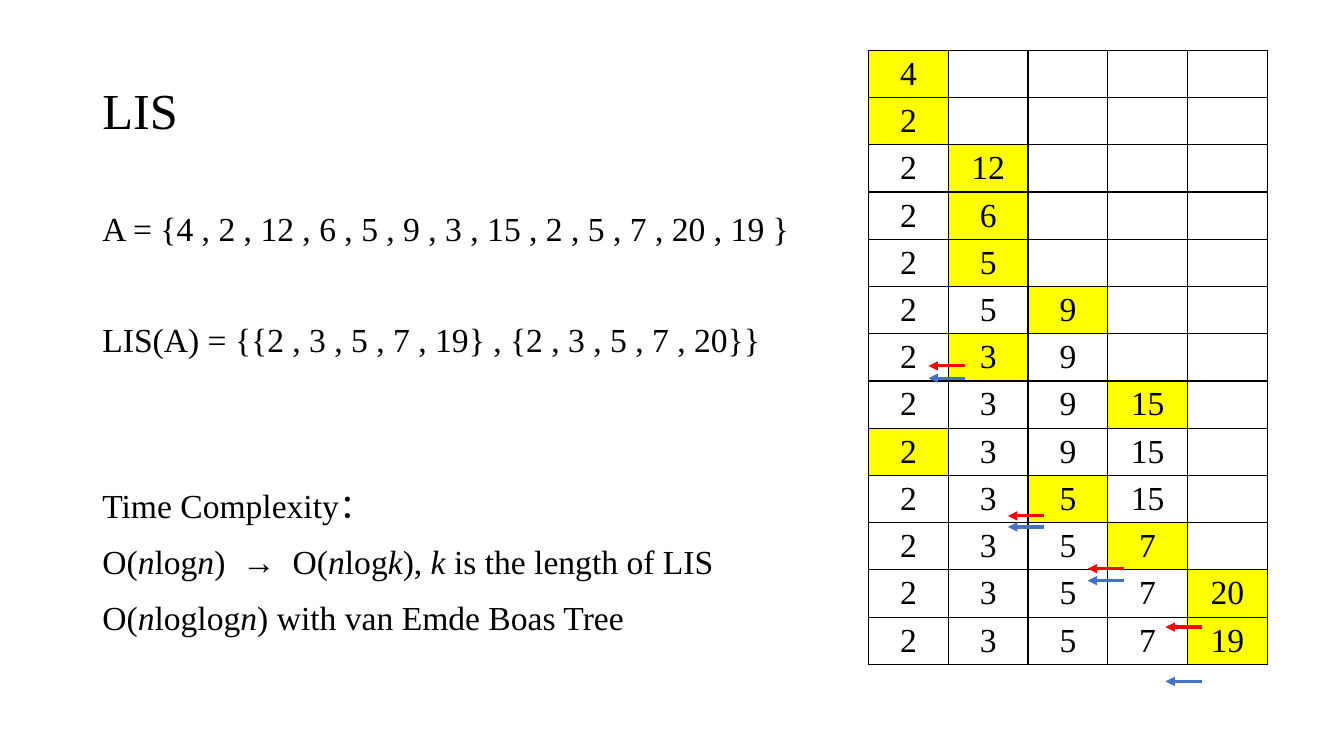
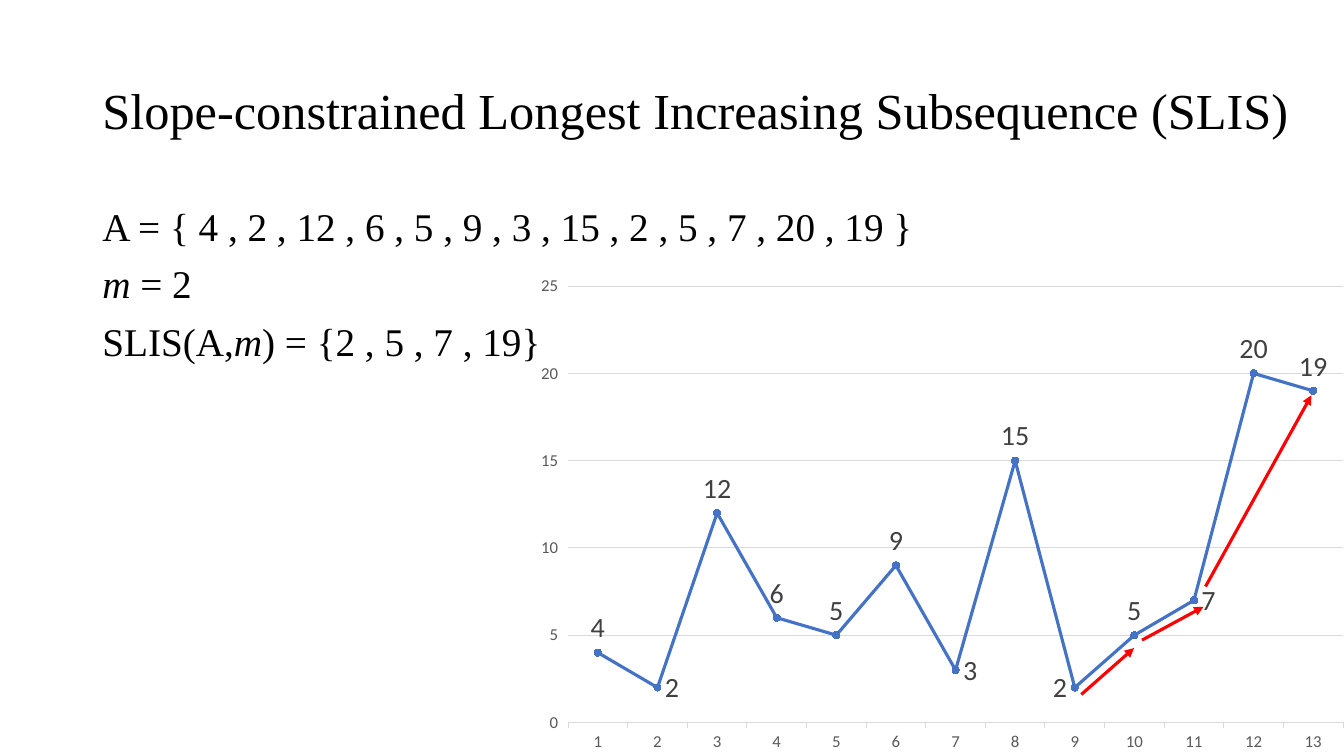
from lxml.etree import SubElement
from pptx import Presentation
from pptx.chart.data import CategoryChartData
from pptx.dml.color import RGBColor
from pptx.enum.chart import XL_CHART_TYPE, XL_LABEL_POSITION, XL_MARKER_STYLE, XL_TICK_MARK
from pptx.enum.shapes import MSO_CONNECTOR
from pptx.enum.text import MSO_ANCHOR, PP_ALIGN
from pptx.oxml import parse_xml
from pptx.oxml.ns import nsdecls, qn
from pptx.util import Cm, Pt

BLACK, WHITE, YELLOW = "000000", "FFFFFF", "FFFF00"
RED, BLUE = "FF0000", "4472C4"
GRID_GRAY, AXIS_GRAY, LABEL_GRAY = "D9D9D9", "595959", "404040"
TEXT_FONT, CHART_FONT = "Times New Roman", "Calibri"
LEFT = 2.33

SEQUENCE = [4, 2, 12, 6, 5, 9, 3, 15, 2, 5, 7, 20, 19]

LIS_TITLE = "LIS"
LIS_LINES = [
    (0, [("A = {4 , 2 , 12 , 6 , 5 , 9 , 3 , 15 , 2 , 5 , 7 , 20 , 19 }", False)]),
    (49, [("LIS(A) = {{2 , 3 , 5 , 7 , 19} , {2 , 3 , 5 , 7 , 20}}", False)]),
    (88, [("Time Complexity：", False)]),
    (10, [("O(", False), ("n", True), ("log", False), ("n", True), (")  →  O(", False),
          ("n", True), ("log", False), ("k", True), ("), ", False), ("k", True),
          (" is the length of LIS", False)]),
    (10, [("O(", False), ("n", True), ("loglog", False), ("n", True),
          (") with van Emde Boas Tree", False)]),
]
TRACE_ARROWS = [
    (30.28, 15.8, 17.17),
    (28.32, 14.33, 14.63),
    (26.31, 13.0, 13.28),
    (24.31, 9.22, 9.53),
]
TRACE_LENGTH = 0.91

SLIS_TITLE = "Slope-constrained Longest Increasing Subsequence (SLIS)"
SLIS_LINES = [
    (0, [("A = { 4 , 2 , 12 , 6 , 5 , 9 , 3 , 15 , 2 , 5 , 7 , 20 , 19 }", False)]),
    (10, [("m", True), (" = 2", False)]),
    (10, [("SLIS(A,", False), ("m", True), (") = {2 , 5 , 7 , 19}", False)]),
]
SIDE_LABELS = {
    1: XL_LABEL_POSITION.RIGHT,
    6: XL_LABEL_POSITION.RIGHT,
    8: XL_LABEL_POSITION.LEFT,
    10: XL_LABEL_POSITION.RIGHT,
}
PLOT_AREA = {"x": 0.042, "y": 0.015, "w": 0.958, "h": 0.915}
SLOPE_ARROWS = [
    (27.25, 17.5, 28.58, 16.33),
    (28.78, 16.13, 30.33, 15.29),
    (30.38, 14.78, 33.05, 9.96),
]


def color(value):
    return RGBColor.from_string(value)


def style_font(font, size, value, name=TEXT_FONT):
    font.size = Pt(size)
    font.name = name
    font.color.rgb = color(value)


def add_text(slide, top, width, height, lines, size, spacing, anchor=MSO_ANCHOR.TOP):
    box = slide.shapes.add_textbox(Cm(LEFT), Cm(top), Cm(width), Cm(height))
    frame = box.text_frame
    frame.word_wrap = True
    frame.vertical_anchor = anchor
    for index, (space_before, runs) in enumerate(lines):
        paragraph = frame.add_paragraph() if index else frame.paragraphs[0]
        paragraph.line_spacing = spacing
        paragraph.space_before = Pt(space_before)
        for text, italic in runs:
            run = paragraph.add_run()
            run.text = text
            style_font(run.font, size, BLACK)
            run.font.italic = italic


def add_title(slide, text, width):
    add_text(slide, 1.01, width, 3.68, [(0, [(text, False)])], 36, 0.9, MSO_ANCHOR.MIDDLE)


def add_body(slide, lines, size, spacing):
    add_text(slide, 5.07, 29.21, 12.09, lines, size, spacing)


def add_arrow(slide, x1, y1, x2, y2, value):
    arrow = slide.shapes.add_connector(MSO_CONNECTOR.STRAIGHT, Cm(x1), Cm(y1), Cm(x2), Cm(y2))
    arrow.line.color.rgb = color(value)
    arrow.line.width = Pt(2.25)
    SubElement(arrow.line._get_or_add_ln(), qn("a:tailEnd"), type="triangle")
    SubElement(arrow._element.spPr, qn("a:effectLst"))


def set_borders(cell):
    properties = cell._tc.get_or_add_tcPr()
    for position, side in enumerate(("lnL", "lnR", "lnT", "lnB")):
        properties.insert(position, parse_xml(
            f'<a:{side} {nsdecls("a")} w="12700"><a:solidFill>'
            f'<a:srgbClr val="{BLACK}"/></a:solidFill></a:{side}>'))


def trace_lis(sequence):
    tails, steps = [], []
    for value in sequence:
        place = sum(tail < value for tail in tails)
        tails[place:place + 1] = [value]
        steps.append((place, list(tails)))
    return steps


def add_trace_table(slide):
    steps = trace_lis(SEQUENCE)
    column_count = len(steps[-1][1])
    column_width, row_height = 2.01, 1.19
    table = slide.shapes.add_table(
        len(steps), column_count, Cm(21.89), Cm(1.27),
        Cm(column_width * column_count), Cm(row_height * len(steps))).table
    table.first_row = False
    table.horz_banding = False
    for column in table.columns:
        column.width = Cm(column_width)
    for row_index, (changed, tails) in enumerate(steps):
        table.rows[row_index].height = Cm(row_height)
        for column_index in range(column_count):
            cell = table.cell(row_index, column_index)
            cell.margin_top = cell.margin_bottom = Cm(0)
            cell.vertical_anchor = MSO_ANCHOR.MIDDLE
            cell.fill.solid()
            cell.fill.fore_color.rgb = color(YELLOW if column_index == changed else WHITE)
            set_borders(cell)
            if column_index < len(tails):
                paragraph = cell.text_frame.paragraphs[0]
                paragraph.alignment = PP_ALIGN.CENTER
                run = paragraph.add_run()
                run.text = str(tails[column_index])
                style_font(run.font, 24, BLACK)


def set_plot_layout(chart):
    plot_area = chart._chartSpace.chart.plotArea
    for layout in plot_area.findall(qn("c:layout")):
        plot_area.remove(layout)
    sizes = "".join(f'<c:{key} val="{value}"/>' for key, value in PLOT_AREA.items())
    plot_area.insert(0, parse_xml(
        f'<c:layout {nsdecls("c")}><c:manualLayout><c:layoutTarget val="inner"/>'
        f'<c:xMode val="edge"/><c:yMode val="edge"/>{sizes}</c:manualLayout></c:layout>'))


def style_line(line, value, width):
    line.color.rgb = color(value)
    line.width = Pt(width)


def add_sequence_chart(slide):
    data = CategoryChartData()
    data.categories = [str(index + 1) for index in range(len(SEQUENCE))]
    data.add_series("Series 1", SEQUENCE)
    chart = slide.shapes.add_chart(
        XL_CHART_TYPE.LINE_MARKERS_STACKED, Cm(13.46), Cm(6.96), Cm(20.4), Cm(12.09), data).chart
    chart.has_legend = False
    chart.has_title = False
    style_font(chart.font, 10, BLACK, CHART_FONT)
    set_plot_layout(chart)

    category_axis, value_axis = chart.category_axis, chart.value_axis
    for axis in (category_axis, value_axis):
        axis.major_tick_mark = XL_TICK_MARK.OUTSIDE
        axis.minor_tick_mark = XL_TICK_MARK.NONE
        style_font(axis.tick_labels.font, 12, AXIS_GRAY, CHART_FONT)
    style_line(category_axis.format.line, GRID_GRAY, 0.75)
    value_axis.format.line.fill.background()
    value_axis.has_major_gridlines = True
    style_line(value_axis.major_gridlines.format.line, GRID_GRAY, 0.75)
    value_axis.minimum_scale, value_axis.maximum_scale, value_axis.major_unit = 0, 25, 5

    plot = chart.plots[0]
    plot.vary_by_categories = False
    series = plot.series[0]
    series.smooth = False
    style_line(series.format.line, BLUE, 2.25)
    series.marker.style = XL_MARKER_STYLE.CIRCLE
    series.marker.size = 5
    series.marker.format.fill.solid()
    series.marker.format.fill.fore_color.rgb = color(BLUE)
    series.marker.format.line.color.rgb = color(BLUE)

    labels = series.data_labels
    labels.show_value = True
    labels.position = XL_LABEL_POSITION.ABOVE
    style_font(labels.font, 20, LABEL_GRAY, CHART_FONT)
    for index, position in SIDE_LABELS.items():
        label = series.points[index].data_label
        style_font(label.font, 20, LABEL_GRAY, CHART_FONT)
        label.position = position


def build_lis_slide(slide):
    add_title(slide, LIS_TITLE, 29.21)
    add_body(slide, LIS_LINES, 24, 1.05)
    add_trace_table(slide)
    for start, red_top, blue_top in TRACE_ARROWS:
        for top, value in ((blue_top, BLUE), (red_top, RED)):
            add_arrow(slide, start, top, start - TRACE_LENGTH, top, value)


def build_slis_slide(slide):
    add_body(slide, SLIS_LINES, 28, 0.93)
    add_title(slide, SLIS_TITLE, 31.27)
    add_sequence_chart(slide)
    for arrow in SLOPE_ARROWS:
        add_arrow(slide, *arrow, RED)


def main():
    presentation = Presentation()
    presentation.slide_width, presentation.slide_height = Cm(33.87), Cm(19.05)
    for build in (build_lis_slide, build_slis_slide):
        build(presentation.slides.add_slide(presentation.slide_layouts[6]))
    presentation.save("out.pptx")


if __name__ == "__main__":
    main()
